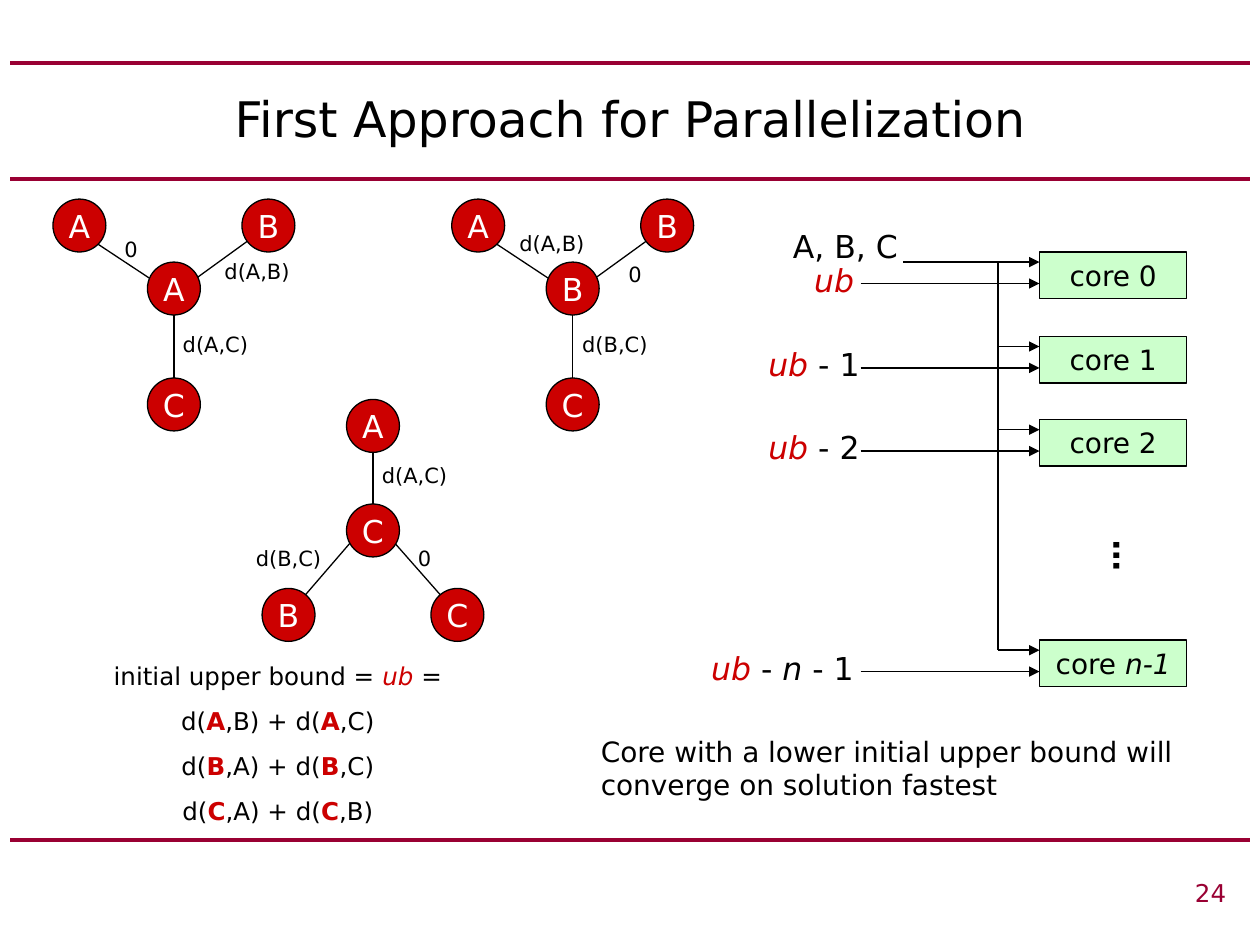
import dataclasses
import itertools

import lxml.etree
import pptx
import pptx.dml.color
import pptx.enum.shapes
import pptx.enum.text
import pptx.oxml.ns
import pptx.util

Inches = pptx.util.Inches
Align = pptx.enum.text.PP_ALIGN
Anchor = pptx.enum.text.MSO_ANCHOR
Shape = pptx.enum.shapes.MSO_SHAPE

FONT = "DejaVu Sans"
COLORS = {"black": "000000", "white": "FFFFFF", "red": "CC0000", "green": "CCFFCC", "maroon": "990033"}
NODE_SIZE = 0.42
CORE_LEFT, CORE_WIDTH, CORE_HEIGHT = 8.25, 1.17, 0.37
BUS_X = 7.92


@dataclasses.dataclass(frozen=True)
class Span:
    text: str
    color: str = "black"
    bold: bool = False
    italic: bool = False


@dataclasses.dataclass(frozen=True)
class Label:
    text: str
    left: float
    top: float
    width: float = 1.42


@dataclasses.dataclass(frozen=True)
class Tree:
    names: str
    places: list[tuple[float, float]]
    edges: list[tuple[float, float, float, float]]
    labels: list[Label]
    left: float = 0


@dataclasses.dataclass(frozen=True)
class Core:
    top: float
    name: list[Span]
    bound: list[Span]
    bound_left: float


BOUND = Span("ub", "red", italic=True)

TOP_PLACES = [(0.42, 1.58), (1.92, 1.58), (1.17, 3), (1.17, 2.08)]
TOP_EDGES = [(0.75, 1.92, 1.25, 2.25), (1.5, 2.25, 2.08, 1.83), (1.38, 2.42, 1.38, 3.08)]
TREES = [
    Tree("ABCA", TOP_PLACES, TOP_EDGES,
         [Label("d(A,B)", 1.33, 2), Label("0", 0.75, 1.83, 0.58), Label("d(A,C)", 1, 2.58)]),
    Tree("ABCB", TOP_PLACES, TOP_EDGES,
         [Label("0", 4.75, 2.03, 0.58), Label("d(B,C)", 4.17, 2.58), Label("d(A,B)", 3.67, 1.78)],
         left=3.165),
    Tree("BCCA", [(2.08, 4.67), (3.42, 4.67), (2.75, 4), (2.75, 3.17)],
         [(3.08, 4.25, 3.67, 4.92), (2.96, 3.42, 2.96, 4.08), (2.33, 4.83, 2.83, 4.25)],
         [Label("0", 3.08, 4.28, 0.58), Label("d(A,C)", 2.58, 3.62), Label("d(B,C)", 1.58, 4.28)]),
]
CORES = [
    Core(2, [Span("core 0")], [BOUND], 5.83),
    Core(2.67, [Span("core 1")], [BOUND, Span(" - 1")], 5.67),
    Core(3.33, [Span("core 2")], [BOUND, Span(" - 2")], 5.67),
    Core(5.08, [Span("core "), Span("n-1", italic=True)],
         [BOUND, Span(" - "), Span("n", italic=True), Span(" - 1")], 5.42),
]


def color(name: str) -> pptx.dml.color.RGBColor:
    return pptx.dml.color.RGBColor.from_string(COLORS[name])


def write(shape, *paragraphs: list[Span], size: float, align=Align.CENTER,
          anchor=Anchor.TOP, gap: float = 0) -> None:
    frame = shape.text_frame
    frame.word_wrap = True
    frame.vertical_anchor = anchor
    for index, spans in enumerate(paragraphs):
        para = frame.paragraphs[0] if index == 0 else frame.add_paragraph()
        para.alignment = align
        if index:
            para.space_before = pptx.util.Pt(gap)
        for span in spans:
            run = para.add_run()
            run.text = span.text
            run.font.name = FONT
            run.font.size = pptx.util.Pt(size)
            run.font.bold = span.bold
            run.font.italic = span.italic
            run.font.color.rgb = color(span.color)


def add_text(page, left: float, top: float, width: float, height: float,
             *paragraphs: list[Span], **text_format):
    box = page.shapes.add_textbox(Inches(left), Inches(top), Inches(width), Inches(height))
    write(box, *paragraphs, **text_format)
    return box


def add_line(page, x1: float, y1: float, x2: float, y2: float,
             line_color: str = "black", width: float = 0.75, arrow: bool = False) -> None:
    line = page.shapes.add_connector(pptx.enum.shapes.MSO_CONNECTOR.STRAIGHT,
                                     Inches(x1), Inches(y1), Inches(x2), Inches(y2))
    line.line.color.rgb = color(line_color)
    line.line.width = pptx.util.Pt(width)
    if arrow:
        lxml.etree.SubElement(line.line._get_or_add_ln(), pptx.oxml.ns.qn("a:tailEnd"), type="triangle")
    lxml.etree.SubElement(line._element.spPr, pptx.oxml.ns.qn("a:effectLst"))


def add_filled(page, kind, left: float, top: float, width: float, height: float, fill: str):
    shape = page.shapes.add_shape(kind, Inches(left), Inches(top), Inches(width), Inches(height))
    shape.shadow.inherit = False
    shape.fill.solid()
    shape.fill.fore_color.rgb = color(fill)
    shape.line.color.rgb = color("black")
    shape.line.width = pptx.util.Pt(0.75)
    return shape


def draw_tree(page, tree: Tree) -> None:
    for x1, y1, x2, y2 in tree.edges:
        add_line(page, tree.left + x1, y1, tree.left + x2, y2)
    for name, (left, top) in zip(tree.names, tree.places):
        node = add_filled(page, Shape.OVAL, tree.left + left, top, NODE_SIZE, NODE_SIZE, "red")
        frame = node.text_frame
        frame.margin_left = frame.margin_right = frame.margin_top = frame.margin_bottom = 0
        write(node, [Span(name, "white")], size=18, anchor=Anchor.MIDDLE)
    for label in tree.labels:
        add_text(page, label.left, label.top, label.width, 0.3, [Span(label.text)], size=12)


def draw_core(page, core: Core) -> None:
    box = add_filled(page, Shape.RECTANGLE, CORE_LEFT, core.top, CORE_WIDTH, CORE_HEIGHT, "green")
    write(box, core.name, size=16)
    add_text(page, core.bound_left, core.top + 0.02, 1.58, 0.4, core.bound, size=18)
    add_line(page, 6.83, core.top + 0.25, CORE_LEFT, core.top + 0.25, arrow=True)
    data_start = 7.17 if core is CORES[0] else BUS_X
    add_line(page, data_start, core.top + 0.08, CORE_LEFT, core.top + 0.08, arrow=True)


def distance_sum(root: str, first: str, second: str) -> list[Span]:
    bold_root = Span(root, "red", bold=True)
    return [Span("d("), bold_root, Span(f",{first}) + d("), bold_root, Span(f",{second})")]


def main() -> None:
    deck = pptx.Presentation()
    deck.slide_width, deck.slide_height = Inches(10), Inches(7.5)
    page = deck.slides.add_slide(deck.slide_layouts[5])

    for y in (0.5, 1.42, 6.67):
        add_line(page, 0.08, y, 9.92, y, line_color="maroon", width=2.25)
    title = page.shapes.title
    title.left, title.top, title.width, title.height = Inches(0.5), Inches(0.5), Inches(9), Inches(0.87)
    write(title, [Span("First Approach for Parallelization")], size=28, anchor=Anchor.MIDDLE)

    for tree in TREES:
        draw_tree(page, tree)
    add_text(page, 0.58, 5.2, 3.25, 1.4,
             [Span("initial upper bound = "), BOUND, Span(" =")],
             distance_sum("A", "B", "C"), distance_sum("B", "A", "C"), distance_sum("C", "A", "B"),
             size=14, gap=8.8)

    add_text(page, 5.92, 1.75, 1.58, 0.4, [Span("A, B, C")], size=18)
    for core in CORES:
        draw_core(page, core)
    for upper, lower in itertools.pairwise(CORES):
        add_line(page, BUS_X, upper.top + 0.08, BUS_X, lower.top + 0.08)
    more_cores = add_text(page, 8.2, 4.21, 1.17, 0.4, [Span("…", bold=True)], size=18)
    more_cores.rotation = 270
    add_text(page, 4.67, 5.78, 5.25, 0.64,
             [Span("Core with a lower initial upper bound will converge on solution fastest")],
             size=16, align=Align.LEFT)
    add_text(page, 2.83, 6.92, 7, 0.33, [Span("24", "maroon")], size=14, align=Align.RIGHT)
    deck.save("out.pptx")


if __name__ == "__main__":
    main()
